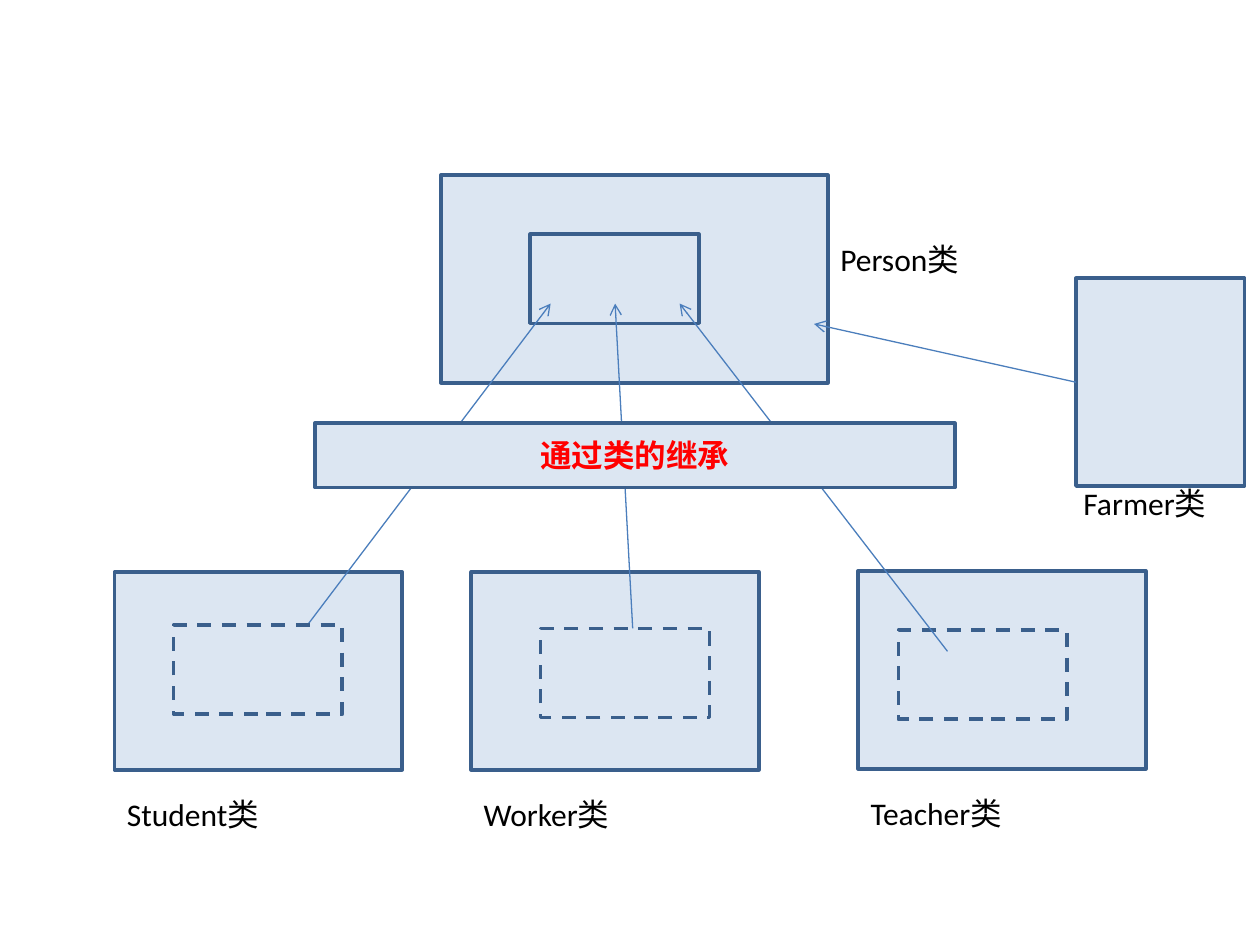
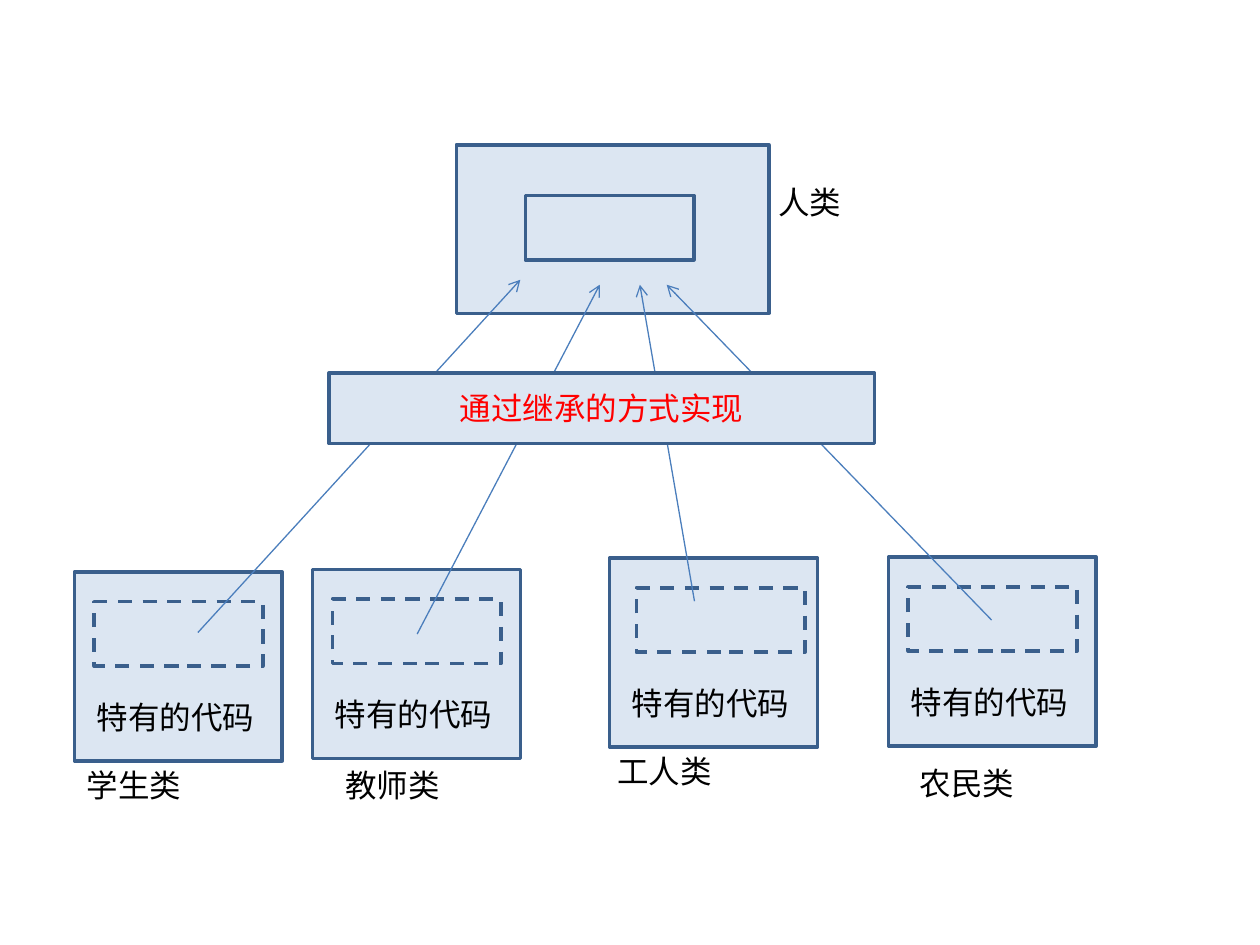
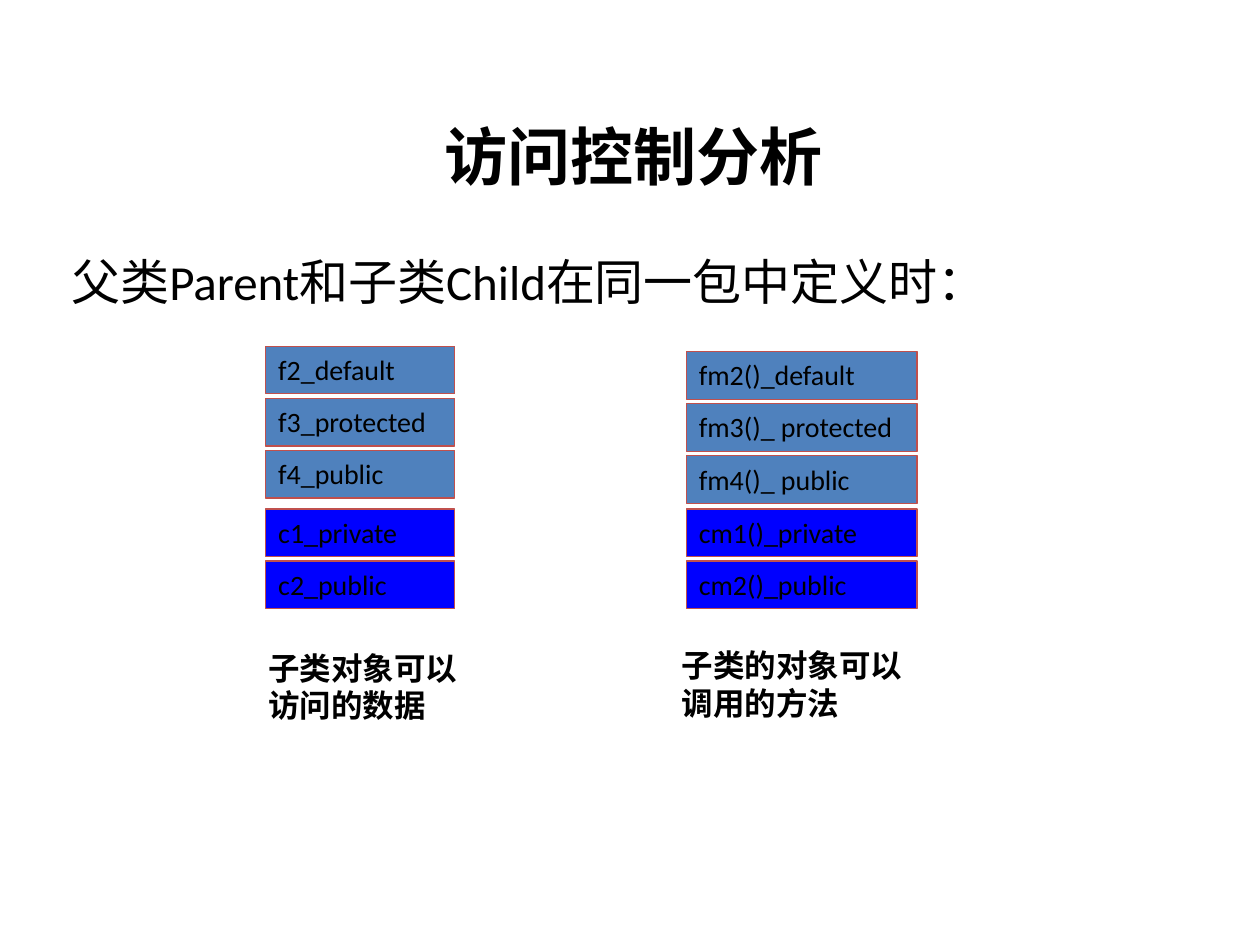
from collections import namedtuple

from lxml import etree
from pptx import Presentation
from pptx.dml.color import RGBColor
from pptx.enum.dml import MSO_LINE
from pptx.enum.lang import MSO_LANGUAGE_ID
from pptx.enum.shapes import MSO_CONNECTOR, MSO_SHAPE
from pptx.enum.text import MSO_ANCHOR, MSO_AUTO_SIZE, PP_ALIGN
from pptx.oxml.ns import qn
from pptx.util import Cm, Pt

RECTANGLE = MSO_SHAPE.RECTANGLE
STRAIGHT = MSO_CONNECTOR.STRAIGHT
DASH = MSO_LINE.DASH
CHINESE = MSO_LANGUAGE_ID.SIMPLIFIED_CHINESE
TOP, MIDDLE = MSO_ANCHOR.TOP, MSO_ANCHOR.MIDDLE
GROW = MSO_AUTO_SIZE.SHAPE_TO_FIT_TEXT
LEFT, CENTER, JUSTIFY = PP_ALIGN.LEFT, PP_ALIGN.CENTER, PP_ALIGN.JUSTIFY
LEFT_SIDE = 1

COLORS = {
    "class": "DCE6F2",
    "class_line": "3A5F8C",
    "arrow": "4B7EBC",
    "inherited": "4F81BD",
    "own": "0000FF",
    "member_line": "C0504D",
    "text": "000000",
    "accent": "FF0000",
}
BASE_FONT = {"name": "Calibri", "language_id": CHINESE}
LABEL = {"size": Pt(18)}
BOLD_LABEL = {"size": Pt(18), "bold": True}
MEMBER = {"size": Pt(16)}
LEAD = {"size": Pt(28)}
TITLE = {"size": Pt(36), "bold": True}

Box = namedtuple("Box", "left top width height")
LABEL_HEIGHT = 1.02


def color(name):
    return RGBColor.from_string(COLORS[name])


def inside(box, left, top, width, height):
    return Box(box.left + left, box.top + top, width, height)


def lengths(values):
    return [Cm(value) for value in values]


def set_text(shape, text, font, ink="text", align=LEFT, anchor=TOP, grow=True):
    frame = shape.text_frame
    settings = {"word_wrap": True, "vertical_anchor": anchor}
    if grow:
        settings["auto_size"] = GROW
    for name, value in settings.items():
        setattr(frame, name, value)
    para = frame.paragraphs[0]
    para.alignment = align
    span = para.add_run()
    span.text = text
    for name, value in {**BASE_FONT, **font}.items():
        setattr(span.font, name, value)
    span.font.color.rgb = color(ink)


def add_label(page, box, text, font=LABEL, **options):
    set_text(page.shapes.add_textbox(*lengths(box)), text, font, **options)


def add_rectangle(page, box, fill="class", line="class_line", weight=2, dashed=False):
    shape = page.shapes.add_shape(RECTANGLE, *lengths(box))
    shape.shadow.inherit = False
    shape.fill.solid()
    shape.fill.fore_color.rgb = color(fill)
    shape.line.color.rgb = color(line)
    shape.line.width = Pt(weight)
    if dashed:
        shape.line.dash_style = DASH
    return shape


def add_arrow(page, start, end):
    arrow = page.shapes.add_connector(STRAIGHT, *lengths(start + end))
    arrow.line.color.rgb = color("arrow")
    arrow.line.width = Pt(0.75)
    etree.SubElement(arrow.line._get_or_add_ln(), qn("a:tailEnd"), type="arrow")
    etree.SubElement(arrow._element.spPr, qn("a:effectLst"))
    return arrow


def add_banner(page, box, text, font):
    shape = add_rectangle(page, box)
    set_text(shape, text, font, ink="accent", align=CENTER, anchor=MIDDLE, grow=False)


def add_parent(page, box, shared, label, text):
    add_rectangle(page, box)
    add_rectangle(page, shared)
    add_label(page, label, text)


def add_farmer(page, box, target):
    farmer = add_rectangle(page, box)
    add_label(page, inside(box, -0.1, 4.02, 3.81, LABEL_HEIGHT), "Farmer类")
    arrow = add_arrow(page, (box.left, box.top + box.height / 2), target)
    arrow.begin_connect(farmer, LEFT_SIDE)


def add_subclass(page, box, shared, name, label_left, label_top):
    add_rectangle(page, box)
    add_rectangle(page, shared, dashed=True)
    add_label(page, inside(box, 0.2, 2.41, 3.81, LABEL_HEIGHT), "特有的代码")
    add_label(page, inside(box, label_left, label_top, 5, LABEL_HEIGHT), name)


def add_members(page, left, width, inherited_top, inherited, own):
    groups = (("inherited", inherited_top, inherited), ("own", 10.26, own))
    for fill, top, names in groups:
        for row, name in enumerate(names):
            box = Box(left, top + row * 1.05, width, 0.96)
            shape = add_rectangle(page, box, fill, "member_line", 0.75)
            set_text(shape, name, MEMBER, align=JUSTIFY)


def build_person_page(page):
    person = Box(8.89, 3.53, 7.8, 4.19)
    shared = inside(person, 1.8, 1.19, 3.4, 1.8)
    add_parent(page, person, shared,
               inside(person, person.width, 1.19, 5, LABEL_HEIGHT), "Person类")
    subclasses = (
        ("Student类", 2.31, 11.53, (1.19, 1.07), (3.79, 1.2)),
        ("Worker类", 9.5, 11.53, (1.4, 1.14), (3.3, 1.98)),
        ("Teacher类", 17.3, 11.51, (0.81, 1.19), (1.8, 1.62)),
    )
    boxes = [Box(left, top, 5.8, 3.99) for _, left, top, _, _ in subclasses]
    copies = [inside(box, *row[3], 3.4, 1.8) for box, row in zip(boxes, subclasses)]
    for box, row in zip(boxes, subclasses):
        add_rectangle(page, box)
        add_label(page, inside(box, 0, box.height + 0.39, box.width, LABEL_HEIGHT), row[0])
    student_copy, worker_copy, teacher_copy = copies
    add_rectangle(page, teacher_copy, dashed=True)
    for index, (box, row) in enumerate(zip(boxes, subclasses)):
        start = (box.left + row[4][0], box.top + row[4][1])
        end = (shared.left + 0.41 + index * 1.3, shared.top + 1.4)
        add_arrow(page, start, end)
    for box in (worker_copy, student_copy):
        add_rectangle(page, box, dashed=True)
    add_banner(page, Box(6.35, 8.53, 12.9, 1.3), "通过类的继承", BOLD_LABEL)
    add_farmer(page, Box(21.69, 5.61, 3.4, 4.19),
               (person.left + 7.52, person.top + 3))


def build_human_page(page):
    human = Box(9.2, 2.92, 6.3, 3.4)
    subclasses = (
        ("学生类", 1.5, 11.53, 0.4, (0, 3.79), (2.49, 1.22), (1.29, 2.72)),
        ("教师类", 6.3, 11.48, 0.4, (0.41, 3.84), (2.11, 1.3), (2.89, 2.82)),
        ("工人类", 12.29, 11.25, 0.54, (-0.1, 3.79), (1.71, 0.87), (3.7, 2.82)),
        ("农民类", 17.91, 11.23, 0.4, (0.38, 4.04), (2.08, 1.27), (4.24, 2.82)),
    )
    add_parent(page, human, inside(human, 1.39, 1.02, 3.4, 1.3),
               inside(human, 6.24, 0.64, 4.5, LABEL_HEIGHT), "人类")
    for name, left, top, shared_left, label, start, end in subclasses:
        box = Box(left, top, 4.19, 3.81)
        add_subclass(page, box, inside(box, shared_left, 0.6, 3.4, 1.3), name, *label)
        add_arrow(page, (left + start[0], top + start[1]),
                  (human.left + end[0], human.top + end[1]))
    add_banner(page, Box(6.63, 7.52, 11, 1.42), "通过继承的方式实现", LABEL)


def build_access_page(page):
    add_label(page, Box(8.71, 1.96, 8.86, 2.36), "访问控制分析", TITLE,
              anchor=MIDDLE, grow=False)
    add_label(page, Box(1.19, 4.95, 21.97, 1.45),
              "父类Parent和子类Child在同一包中定义时：", LEAD)
    add_members(page, 5.36, 3.81, 6.98,
                ("f2_default", "f3_protected", "f4_public"),
                ("c1_private", "c2_public"))
    add_members(page, 13.84, 4.65, 7.09,
                ("fm2()_default", "fm3()_ protected", "fm4()_ public"),
                ("cm1()_private", "cm2()_public"))
    add_label(page, Box(5.16, 12.95, 4.65, 1.78), "子类对象可以访问的数据", BOLD_LABEL)
    add_label(page, Box(13.49, 12.9, 5.33, 1.8), "子类的对象可以调用的方法", BOLD_LABEL)


def main():
    deck = Presentation()
    deck.slide_width, deck.slide_height = Cm(25.4), Cm(19.05)
    blank = deck.slide_layouts[6]
    for build in (build_person_page, build_human_page, build_access_page):
        build(deck.slides.add_slide(blank))
    deck.save("out.pptx")


if __name__ == "__main__":
    main()
